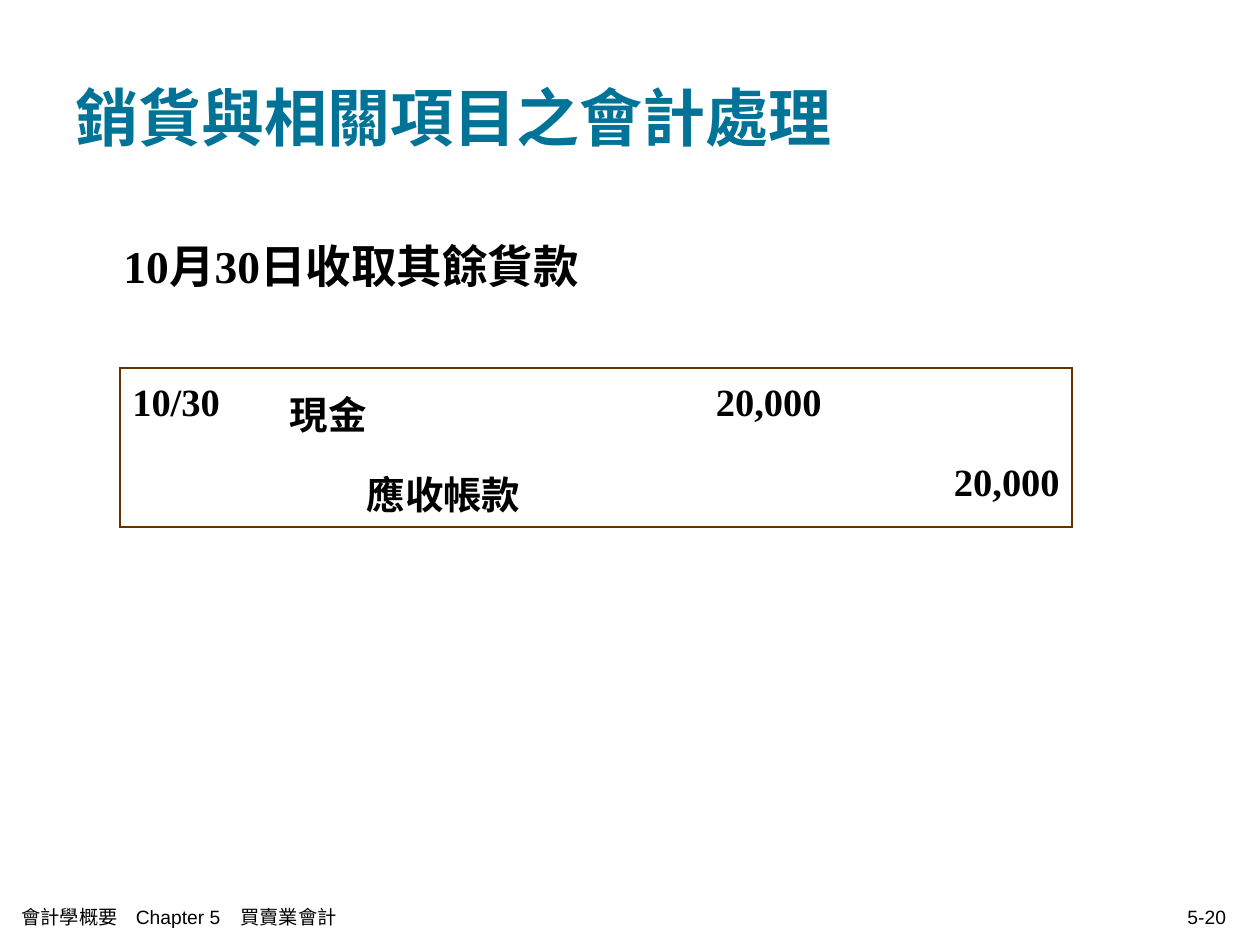
import pptx
import pptx.util
import pptx.dml.color
import pptx.enum.text
import pptx.oxml.ns
from lxml import etree

Inches = pptx.util.Inches
Pt = pptx.util.Pt
RGBColor = pptx.dml.color.RGBColor
ALIGN = pptx.enum.text.PP_ALIGN
ANCHOR = pptx.enum.text.MSO_ANCHOR
qn = pptx.oxml.ns.qn

TEAL = RGBColor(0x00, 0x73, 0x96)
BLACK = RGBColor(0x00, 0x00, 0x00)
BROWN = RGBColor(0x66, 0x33, 0x00)


class SlideBuilder:
    serif = "Times New Roman"
    sans = "Arial"

    def __init__(self, slide):
        self.s = slide

    def place(self, sp, left, top, width, height):
        sp.left, sp.top = Inches(left), Inches(top)
        sp.width, sp.height = Inches(width), Inches(height)

    def add_text(self, p, text, size, font, color=BLACK, bold=True, align=ALIGN.LEFT):
        p.alignment = align
        r = p.add_run()
        r.text = text
        r.font.size = Pt(size)
        r.font.name = font
        r.font.bold = bold
        r.font.color.rgb = color

    def indent(self, p, left):
        pPr = p._p.get_or_add_pPr()
        pPr.set("marL", str(Inches(left)))
        pPr.set("indent", "0")
        return pPr

    def title(self, text):
        sp = self.s.shapes.title
        self.place(sp, 0.5, 0.3, 9, 1.25)
        tf = sp.text_frame
        tf.auto_size = pptx.enum.text.MSO_AUTO_SIZE.NONE
        tf.vertical_anchor = ANCHOR.MIDDLE
        self.add_text(tf.paragraphs[0], text, 36, self.serif, TEAL)

    def body(self, text):
        sp = self.s.placeholders[1]
        self.place(sp, 0.5, 1.75, 9, 4.95)
        tf = sp.text_frame
        tf.auto_size = pptx.enum.text.MSO_AUTO_SIZE.NONE
        p = tf.paragraphs[0]
        etree.SubElement(self.indent(p, 0.38), qn("a:buNone"))
        p.line_spacing = 1.2
        p.space_before = Pt(0)
        self.add_text(p, text, 26, self.serif)

    def borders(self, cell, sides):
        tcPr = cell._tc.get_or_add_tcPr()
        for side in "LRTB":
            ln = etree.SubElement(tcPr, qn("a:ln" + side), w=str(Pt(1.08)))
            if side in sides:
                fill = etree.SubElement(ln, qn("a:solidFill"))
                etree.SubElement(fill, qn("a:srgbClr"), val=str(BROWN))
            else:
                etree.SubElement(ln, qn("a:noFill"))

    def journal(self, left, top, widths, row_height, entries):
        rows, cols = 2, len(widths)
        frame = self.s.shapes.add_table(
            rows, cols, Inches(left), Inches(top),
            Inches(sum(widths)), Inches(row_height * rows))
        table = frame.table
        table.first_row = table.horz_banding = False
        for col, width in zip(table.columns, widths):
            col.width = Inches(width)
        for i in range(rows):
            table.rows[i].height = Inches(row_height)
            for j in range(cols):
                cell = table.cell(i, j)
                sides = "T" if i == 0 else "B"
                sides += {0: "L", cols - 1: "R"}.get(j, "")
                self.borders(cell, sides)
                cell.fill.background()
                if (i, j) in entries:
                    text, align, left_indent = entries[i, j]
                    p = cell.text_frame.paragraphs[0]
                    self.indent(p, left_indent)
                    p.line_spacing = 1.2
                    self.add_text(p, text, 22, self.serif, align=align)

    def footer(self, left, width, text, align=ALIGN.LEFT, stops=()):
        sp = self.s.shapes.add_textbox(
            Inches(left), Inches(7.11), Inches(width), Inches(0.33))
        tf = sp.text_frame
        tf.word_wrap = True
        tf.vertical_anchor = ANCHOR.MIDDLE
        p = tf.paragraphs[0]
        if stops:
            tabs = etree.SubElement(p._p.get_or_add_pPr(), qn("a:tabLst"))
            for stop in stops:
                etree.SubElement(tabs, qn("a:tab"), pos=str(Inches(stop)), algn="l")
        self.add_text(p, text, 11, self.sans, bold=False, align=align)


def main():
    prs = pptx.Presentation()
    prs.slide_width, prs.slide_height = Inches(10), Inches(7.5)
    b = SlideBuilder(prs.slides.add_slide(prs.slide_layouts[1]))
    b.title("銷貨與相關項目之會計處理")
    b.body("10月30日收取其餘貨款")
    b.journal(0.95, 2.92, [1.25, 2.83, 1.59, 1.89], 0.59, {
        (0, 0): ("10/30", ALIGN.LEFT, 0),
        (0, 1): ("現金", ALIGN.LEFT, 0),
        (0, 2): ("20,000", ALIGN.RIGHT, 0),
        (1, 1): ("應收帳款", ALIGN.LEFT, 0.61),
        (1, 3): ("20,000", ALIGN.RIGHT, 0),
    })
    b.footer(0.07, 5.1, "會計學概要\tChapter 5\t買賣業會計", stops=(0.91, 1.74))
    b.footer(7.5, 2.33, "5-20", ALIGN.RIGHT)
    prs.save("out.pptx")


if __name__ == "__main__":
    main()
